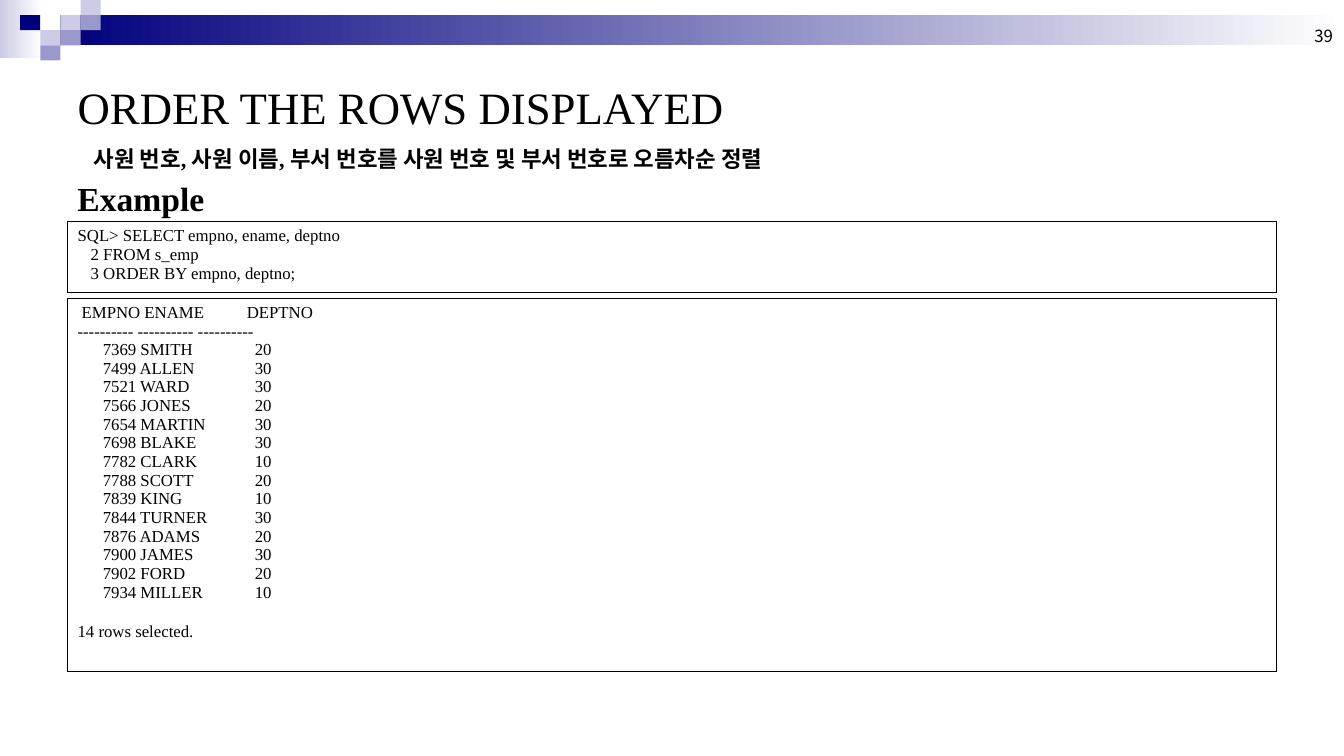
from dataclasses import dataclass

from lxml.etree import SubElement
from pptx import Presentation
from pptx.dml.color import RGBColor
from pptx.enum.shapes import MSO_SHAPE
from pptx.enum.text import MSO_ANCHOR, MSO_AUTO_SIZE, PP_ALIGN
from pptx.oxml.ns import qn
from pptx.util import Inches, Pt


@dataclass(frozen=True)
class Theme:
    navy: str = "00007D"
    mid: str = "9999CC"
    pale: str = "CCCCE6"
    white: str = "FFFFFF"
    ink: str = "000000"
    latin: str = "Times New Roman"
    korean: str = "Noto Sans CJK KR"
    title: int = 32
    heading: int = 24
    caption: int = 16
    body: int = 12
    border: float = 0.45


T = Theme()
WIDTH, HEIGHT = 13.34, 7.5
LEFT, CONTENT_W = 0.67, 12
UNIT_X, UNIT_Y = 0.2, 0.15  # mosaic grid in the header

# Tab stops in inches for each kind of listing line
HEAD_TABS, ROW_TABS, SQL_TABS = (0.04, 1.68), (0.25, 1.76), (0.13,)

QUERY = ["SQL> SELECT empno, ename, deptno",
         "\t2 FROM s_emp",
         "\t3 ORDER BY empno, deptno;"]
EMPLOYEES = [
    (7369, "SMITH", 20), (7499, "ALLEN", 30), (7521, "WARD", 30),
    (7566, "JONES", 20), (7654, "MARTIN", 30), (7698, "BLAKE", 30),
    (7782, "CLARK", 10), (7788, "SCOTT", 20), (7839, "KING", 10),
    (7844, "TURNER", 30), (7876, "ADAMS", 20), (7900, "JAMES", 30),
    (7902, "FORD", 20), (7934, "MILLER", 10),
]


def inches(box):
    return [Inches(v) for v in box]


def write(p, text, size, font=T.latin, bold=False):
    r = p.add_run()
    r.text = text
    for name, value in {"size": Pt(size), "name": font, "bold": bold}.items():
        setattr(r.font, name, value)
    r.font.color.rgb = RGBColor.from_string(T.ink)
    SubElement(r.font._element, qn("a:ea"), typeface=T.korean)


def set_tabs(p, stops):
    tabs = SubElement(p._p.get_or_add_pPr(), qn("a:tabLst"))
    for stop in stops:
        SubElement(tabs, qn("a:tab"), pos=str(Inches(stop)), algn="l")


def add_rect(slide, box, *colours):
    """One colour gives a solid fill, two a left-to-right gradient."""
    sp = slide.shapes.add_shape(MSO_SHAPE.RECTANGLE, *inches(box))
    sp.shadow.inherit = False
    sp.line.fill.background()
    if len(colours) == 1:
        sp.fill.solid()
        sp.fill.fore_color.rgb = RGBColor.from_string(colours[0])
        return
    sp.fill.gradient()
    sp.fill.gradient_angle = 0
    for stop, colour in zip(sp.fill.gradient_stops, colours):
        stop.color.rgb = RGBColor.from_string(colour)


def add_header(slide, box):
    x, y, w, h = box
    # Gradient bands
    add_rect(slide, (x, y, 0.42, h), T.pale, T.white)
    add_rect(slide, (x + 3 * UNIT_X, y + UNIT_Y, w - 3 * UNIT_X, 2 * UNIT_Y),
             T.navy, T.white)
    # Mosaic squares as column, row, colour
    for col, row, colour in [(3, 1, T.pale), (4, 0, T.pale), (4, 1, T.mid),
                             (2, 2, T.pale), (1, 1, T.navy), (3, 2, T.mid),
                             (2, 3, T.mid)]:
        add_rect(slide, (x + col * UNIT_X, y + row * UNIT_Y, UNIT_X, UNIT_Y),
                 colour)


def add_title(slide, box, text):
    sp = slide.shapes.title
    for name, value in zip(("left", "top", "width", "height"), inches(box)):
        setattr(sp, name, value)
    tf = sp.text_frame
    tf.auto_size = MSO_AUTO_SIZE.NONE
    tf.vertical_anchor = MSO_ANCHOR.MIDDLE
    p = tf.paragraphs[0]
    p.alignment = PP_ALIGN.LEFT
    write(p, text, T.title)


def add_label(slide, box, text, size, before=0, align=PP_ALIGN.LEFT,
              anchor=MSO_ANCHOR.TOP, **style):
    tf = slide.shapes.add_textbox(*inches(box)).text_frame
    tf.word_wrap = True
    tf.vertical_anchor = anchor
    p = tf.paragraphs[0]
    p.alignment = align
    p.space_before = Pt(before)
    write(p, text, size, **style)


def add_listing(slide, box, lines):
    """Bordered one-cell table; lines hold text, tab stops, space before."""
    table = slide.shapes.add_table(1, 1, *inches(box)).table
    table.first_row = table.horz_banding = False
    cell = table.cell(0, 0)
    # Borders come before the fill in the cell properties
    tcPr = cell._tc.get_or_add_tcPr()
    for side in ("a:lnL", "a:lnR", "a:lnT", "a:lnB"):
        ln = SubElement(tcPr, qn(side), w=str(Pt(T.border)))
        SubElement(SubElement(ln, qn("a:solidFill")), qn("a:srgbClr"),
                   val=T.ink)
    cell.fill.background()
    tf = cell.text_frame
    for i, (text, tabs, before) in enumerate(lines):
        p = tf.add_paragraph() if i else tf.paragraphs[0]
        p.space_before = Pt(before)
        set_tabs(p, tabs)
        write(p, text, T.body)


def result_lines():
    yield "\tEMPNO ENAME\tDEPTNO", HEAD_TABS, 0
    yield " ".join(["-" * 10] * 3), HEAD_TABS, 0
    for number, name, dept in EMPLOYEES:
        yield f"\t{number} {name}\t{dept}", ROW_TABS, 0
    yield f"{len(EMPLOYEES)} rows selected.", HEAD_TABS, 14.5


def main():
    prs = Presentation()
    prs.slide_width, prs.slide_height = Inches(WIDTH), Inches(HEIGHT)
    slide = prs.slides.add_slide(prs.slide_layouts[5])

    add_header(slide, (0, 0, WIDTH, 0.58))
    add_label(slide, (10.22, 0, 3.11, 0.5), "39", T.body, font=T.korean,
              align=PP_ALIGN.RIGHT, anchor=MSO_ANCHOR.BOTTOM)
    add_title(slide, (LEFT, 0.5, CONTENT_W, 1.12), "ORDER THE ROWS DISPLAYED")
    add_label(slide, (0.83, 1.39, 10.25, 0.44),
              "사원 번호, 사원 이름, 부서 번호를 사원 번호 및 부서 번호로 오름차순 정렬",
              T.caption, before=4, bold=True)
    add_label(slide, (LEFT, 1.72, 8.92, 0.55), "Example", T.heading,
              before=6, bold=True)
    add_listing(slide, (LEFT, 2.2, CONTENT_W, 0.7),
                [(line, SQL_TABS, 0) for line in QUERY])
    add_listing(slide, (LEFT, 2.96, CONTENT_W, 3.7), result_lines())
    prs.save("out.pptx")


if __name__ == "__main__":
    main()
